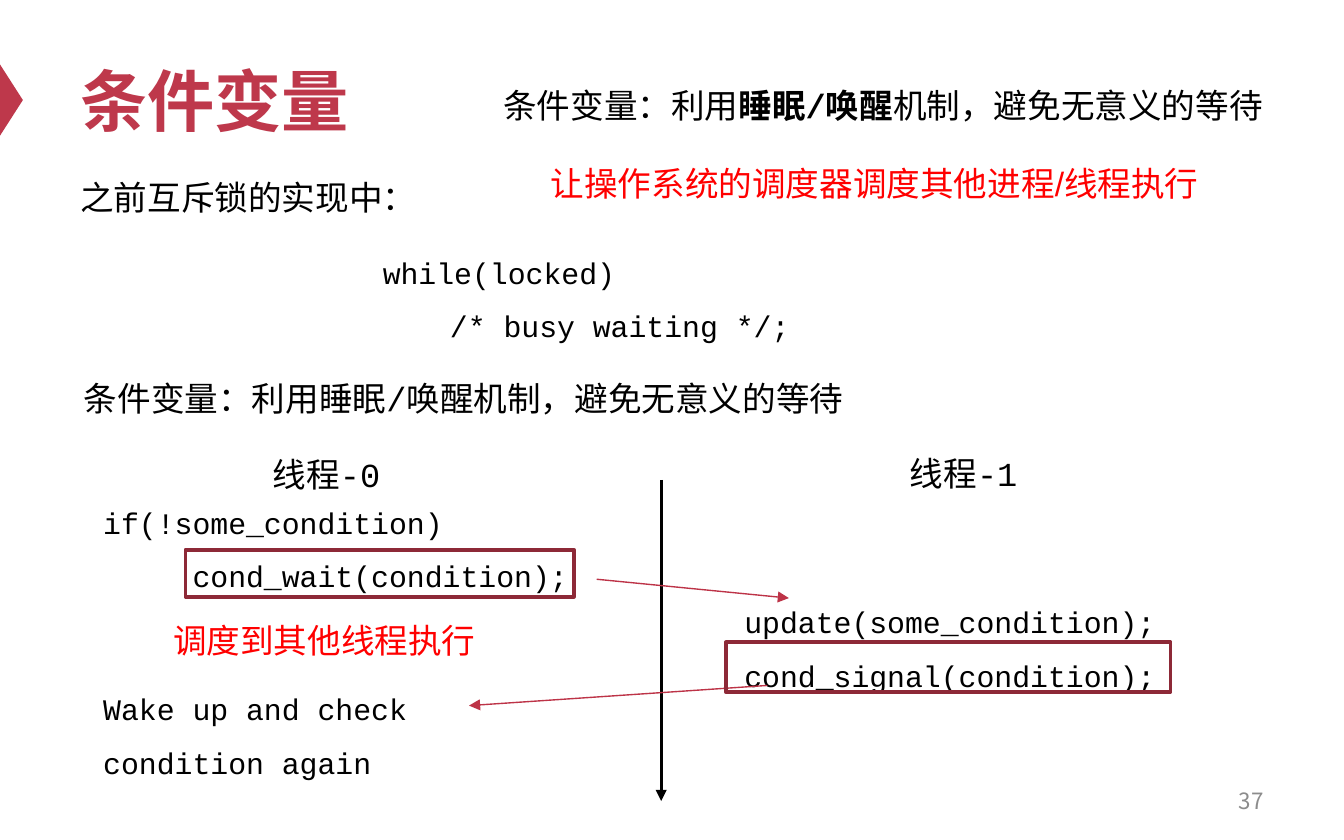
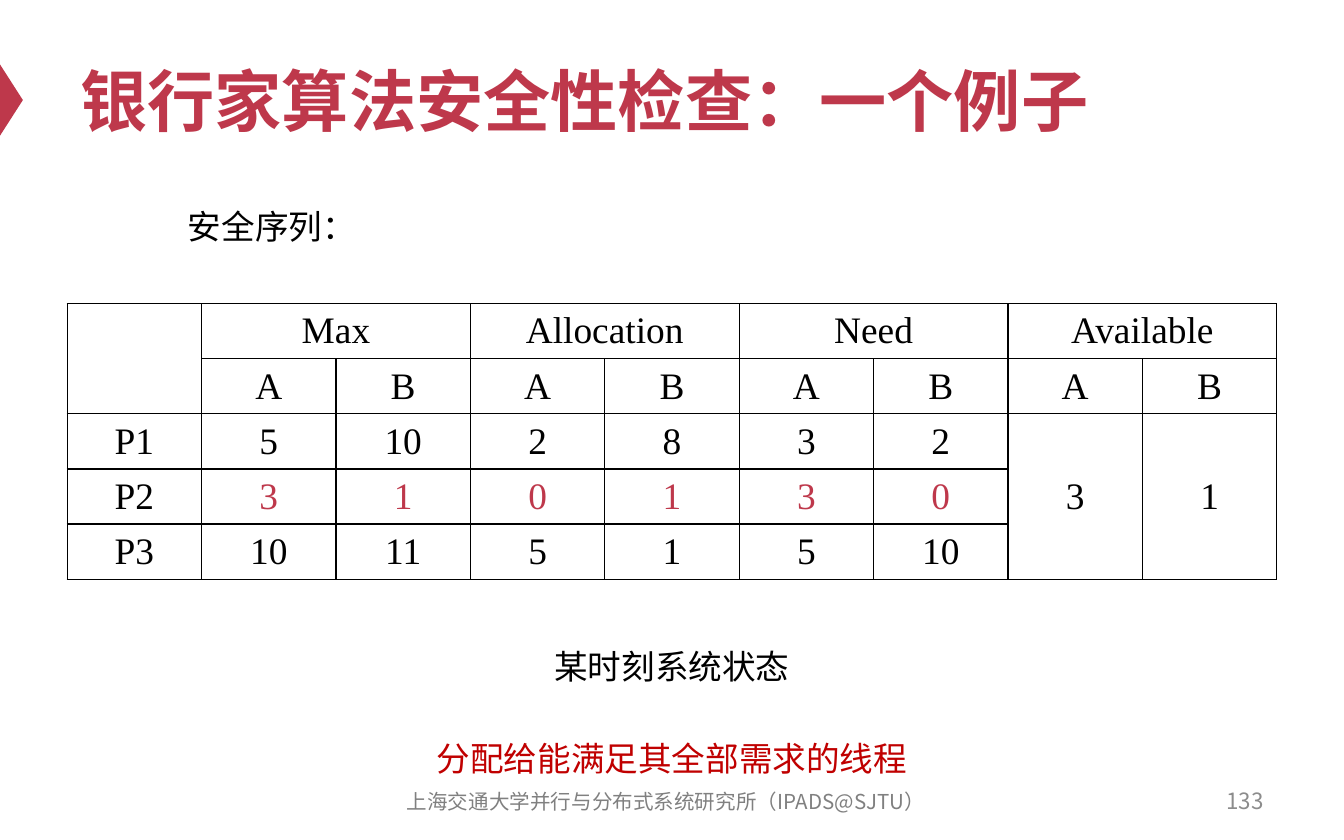
import pptx
import pptx.dml.color
import pptx.enum.shapes
import pptx.enum.text
import pptx.oxml
import pptx.oxml.ns
import pptx.util

Inches = pptx.util.Inches
Pt = pptx.util.Pt
SHAPE = pptx.enum.shapes.MSO_SHAPE
ALIGN = pptx.enum.text.PP_ALIGN
ANCHOR = pptx.enum.text.MSO_ANCHOR
AUTO_SIZE = pptx.enum.text.MSO_AUTO_SIZE

CRIMSON, BLACK, RED = "BE384B", "000000", "FF0000"
ARROW, FRAME, DEEP_RED = "BD3347", "8D2937", "C00000"
CODE, SANS, SERIF, CJK = "Courier New", "Arial", "Times New Roman", "Noto Sans CJK SC"
NOTE = {"name": CODE, "size": Pt(18)}
LISTING = {"name": CODE, "size": Pt(16)}
CAPTION = {"name": SANS, "size": Pt(18)}
TITLE = {"name": SANS, "size": Pt(36), "bold": True}
NUMBER = {"name": CJK, "size": Pt(12)}
FOOTER = {"name": CJK, "size": Pt(11)}
CELL = {"name": SERIF, "size": Pt(20)}


def rgb(value):
    """Turn a hex string into a colour."""
    return pptx.dml.color.RGBColor.from_string(value)


def set_values(target, values):
    """Set every attribute named in a dict."""
    for name, value in values.items():
        setattr(target, name, value)


def add_xml(parent, markup):
    """Append a DrawingML element given as markup."""
    ns = pptx.oxml.ns.nsdecls("a")
    tag, rest = markup[:-1].split(" ", 1) if " " in markup else (markup[:-2], "/")
    parent.append(pptx.oxml.parse_xml(f"{tag} {ns} {rest}>"))


def add_run(p, text, font, color=BLACK):
    """Add a run with Latin and East Asian typefaces."""
    r = p.add_run()
    r.text = text
    set_values(r.font, font)
    r.font.color.rgb = rgb(color)
    add_xml(r.font._element, f'<a:ea typeface="{CJK}"/>')


def add_text(s, box, lines, font, color=BLACK, align=ALIGN.LEFT, spacing=1.0,
             anchor=ANCHOR.TOP, grow=True):
    """Add a text box; a line is a string or a list of (text, bold) parts."""
    tf = s.shapes.add_textbox(*map(Inches, box)).text_frame
    auto_size = AUTO_SIZE.SHAPE_TO_FIT_TEXT if grow else AUTO_SIZE.NONE
    set_values(tf, {"word_wrap": True, "vertical_anchor": anchor, "auto_size": auto_size})
    for i, line in enumerate(lines):
        p = tf.add_paragraph() if i else tf.paragraphs[0]
        set_values(p, {"alignment": align, "line_spacing": spacing})
        if isinstance(line, str):
            add_run(p, line, font, color)
        else:
            for text, bold in line:
                add_run(p, text, {**font, "bold": bold}, color)


def add_code(s, box, lines):
    """Add a code listing."""
    add_text(s, box, lines, LISTING, spacing=1.5)


def add_arrow(s, start, end, color, width):
    """Add a straight arrow."""
    sp = s.shapes.add_connector(pptx.enum.shapes.MSO_CONNECTOR.STRAIGHT,
                                *map(Inches, start + end))
    sp.line.color.rgb = rgb(color)
    sp.line.width = Pt(width)
    add_xml(sp.line._get_or_add_ln(), '<a:tailEnd type="triangle"/>')
    add_xml(sp._element.spPr, "<a:effectLst/>")


def add_frame(s, box):
    """Outline a highlighted call."""
    sp = s.shapes.add_shape(SHAPE.RECTANGLE, *map(Inches, box))
    sp.shadow.inherit = False
    sp.fill.background()
    sp.line.color.rgb = rgb(FRAME)
    sp.line.width = Pt(2)


def add_slide(prs, title, number):
    """Add a slide with its marker, title and page number."""
    s = prs.slides.add_slide(prs.slide_layouts[6])
    sp = s.shapes.add_shape(SHAPE.ISOSCELES_TRIANGLE,
                            *map(Inches, (-0.18, 0.66, 0.53, 0.17)))
    sp.rotation = 90
    sp.shadow.inherit = False
    sp.fill.solid()
    sp.fill.fore_color.rgb = rgb(CRIMSON)
    sp.line.fill.background()
    add_text(s, (0.5, 0.25, 9, 0.98), [title], TITLE, CRIMSON,
             anchor=ANCHOR.MIDDLE, grow=False)
    add_text(s, (7.17, 5.79, 2.33, 0.33), [str(number)], NUMBER, "8C8C8C",
             ALIGN.RIGHT, anchor=ANCHOR.MIDDLE, grow=False)
    return s


def format_cell(cell, text, color):
    """Fill in one bordered, centred cell."""
    tcPr = cell._tc.get_or_add_tcPr()
    for side in "LRTB":
        add_xml(tcPr, f'<a:ln{side} w="{Pt(0.75)}"><a:solidFill><a:srgbClr val="{BLACK}"/>'
                      f"</a:solidFill></a:ln{side}>")
    cell.fill.background()
    cell.vertical_anchor = ANCHOR.MIDDLE
    p = cell.text_frame.paragraphs[0]
    p.alignment = ALIGN.CENTER
    if text:
        add_run(p, text, CELL, color)


def add_grid(s, left, top, col_width, row_height, rows, merges, marked_row):
    """Add a table with merged cells and one marked row of values."""
    n_rows, n_cols = len(rows), len(rows[0])
    table = s.shapes.add_table(n_rows, n_cols, Inches(left), Inches(top),
                               Inches(col_width * n_cols),
                               Inches(row_height * n_rows)).table
    set_values(table, {"first_row": False, "horz_banding": False})
    for i, row in enumerate(rows):
        table.rows[i].height = Inches(row_height)
        for j, text in enumerate(row):
            color = CRIMSON if i == marked_row and j else BLACK
            format_cell(table.cell(i, j), text, color)
    for start, end in merges:
        table.cell(*start).merge(table.cell(*end))


def build_condition_variable(prs):
    """Build the slide on condition variables."""
    s = add_slide(prs, "条件变量", 37)
    add_code(s, (2.75, 1.71, 4.5, 0.87), ["while(locked)", "\t/* busy waiting */;"])
    add_text(s, (0.5, 1.27, 3.86, 0.4), ["之前互斥锁的实现中："], NOTE)
    purpose = [("条件变量：利用", False), ("睡眠/唤醒", True),
               ("机制，避免无意义的等待", False)]
    add_text(s, (0.28, 2.76, 6.34, 0.4), ["".join(text for text, _ in purpose)], NOTE,
             align=ALIGN.CENTER)
    add_code(s, (0.67, 3.57, 3.77, 0.87),
             ["if(!some_condition)", "     cond_wait(condition);"])
    add_code(s, (5.44, 4.31, 3.63, 0.87),
             ["update(some_condition);", "cond_signal(condition);"])
    add_arrow(s, (4.92, 3.57), (4.92, 5.96), BLACK, 1.5)
    add_text(s, (1.5, 3.33, 1.86, 0.4), ["线程-0"], NOTE, align=ALIGN.CENTER)
    add_text(s, (5.87, 3.32, 2.6, 0.4), ["线程-1"], NOTE, align=ALIGN.CENTER)
    add_code(s, (0.67, 4.96, 3.54, 0.87), ["Wake up and check condition again"])
    add_arrow(s, (4.44, 4.31), (5.87, 4.45), ARROW, 0.75)
    add_arrow(s, (5.71, 5.1), (3.49, 5.25), ARROW, 0.75)
    add_frame(s, (1.38, 4.09, 2.89, 0.35))
    add_frame(s, (5.4, 4.78, 3.31, 0.37))
    add_text(s, (1.19, 4.56, 2.47, 0.4), ["调度到其他线程执行"], NOTE, RED)
    add_text(s, (3.4, 0.58, 6.34, 0.4), [purpose], NOTE, align=ALIGN.CENTER)
    add_text(s, (4, 1.16, 5.07, 0.4), ["让操作系统的调度器调度其他进程/线程执行"],
             CAPTION, RED)


def build_banker_example(prs):
    """Build the slide with the safety check example."""
    s = add_slide(prs, "银行家算法安全性检查：一个例子", 133)
    rows = [
        ["", "Max", "", "Allocation", "", "Need", "", "Available", ""],
        [""] + ["A", "B"] * 4,
        ["P1", "5", "10", "2", "8", "3", "2", "3", "1"],
        ["P2", "3", "1", "0", "1", "3", "0", "", ""],
        ["P3", "10", "11", "5", "1", "5", "10", "", ""],
    ]
    merges = [((0, 0), (1, 0))]
    merges += [((0, j), (0, j + 1)) for j in range(1, 9, 2)]
    merges += [((2, j), (4, j)) for j in (7, 8)]
    add_grid(s, 0.5, 2.26, 1, 0.41, rows, merges, marked_row=3)
    add_text(s, (1.18, 4.61, 7.64, 0.5), ["某时刻系统状态"], CAPTION,
             align=ALIGN.CENTER, spacing=1.5)
    add_text(s, (1.18, 5.29, 7.64, 0.5), ["分配给能满足其全部需求的线程"], CAPTION,
             DEEP_RED, ALIGN.CENTER, spacing=1.5)
    add_text(s, (1.3, 1.33, 7.64, 0.5), ["安全序列："], CAPTION, spacing=1.5)
    add_text(s, (2.79, 5.8, 4.33, 0.33), ["上海交通大学并行与分布式系统研究所（IPADS@SJTU）"],
             FOOTER, "808080", ALIGN.CENTER, anchor=ANCHOR.MIDDLE, grow=False)


def main():
    """Build and save the presentation."""
    prs = pptx.Presentation()
    set_values(prs, {"slide_width": Inches(10), "slide_height": Inches(6.25)})
    build_condition_variable(prs)
    build_banker_example(prs)
    prs.save("out.pptx")


if __name__ == "__main__":
    main()
